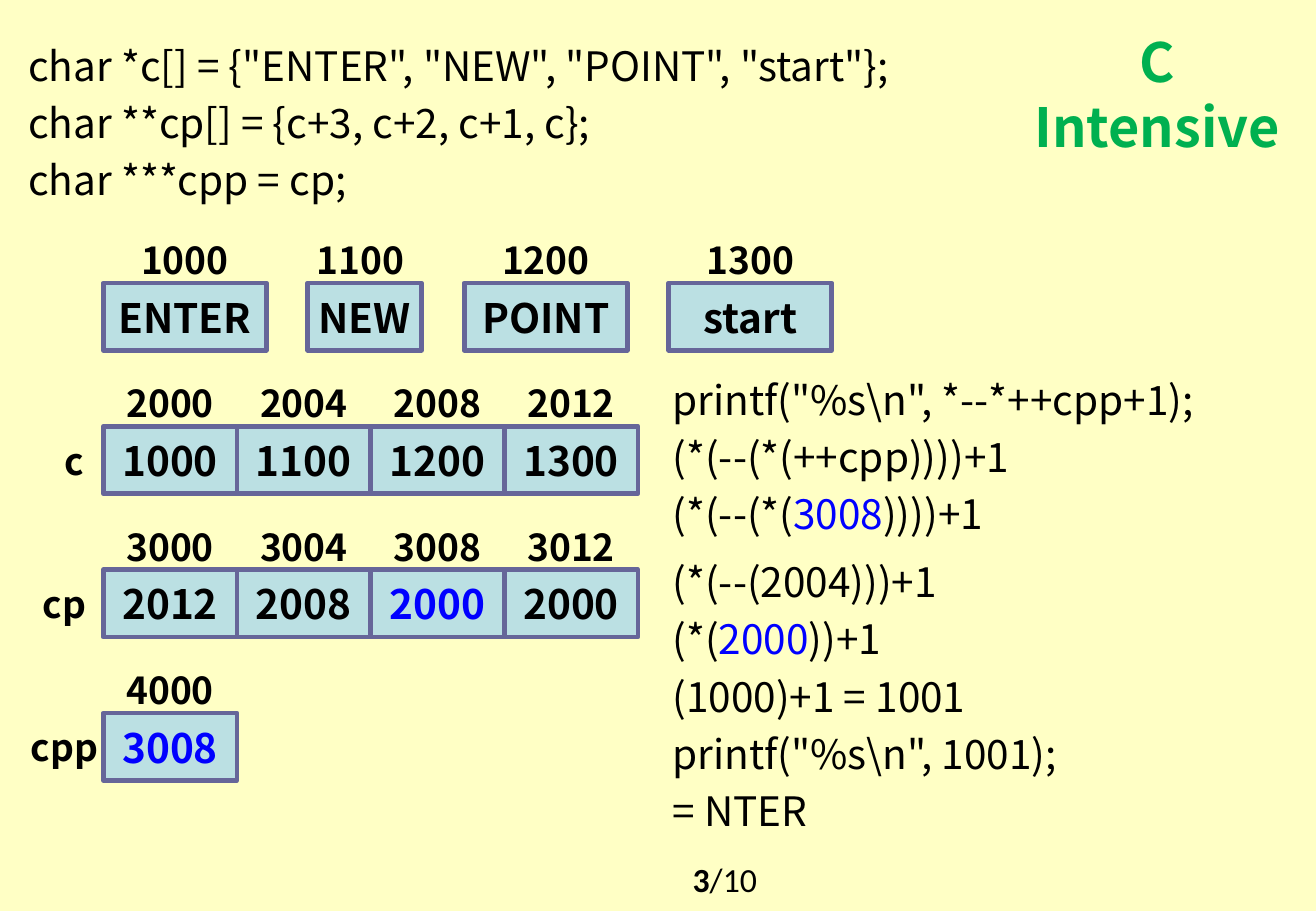
from dataclasses import dataclass

from pptx import Presentation
from pptx import util as u
from pptx.dml.color import RGBColor
from pptx.enum import shapes, text

FONT = "Noto Sans CJK KR"
BLACK, BLUE, GREEN = "000000", "0000FF", "00B050"
COL, ROW = 1.1, 1.18  # grid step in inches
LEFT, TOP = 0.85, 2.33  # corner of the first memory cell
CELL_H, TAG_H = 0.47, 0.33  # in rows
NAME_W = 0.8  # in columns


@dataclass
class Cell:
    addr: str
    value: str
    col: float
    row: float
    width: float = 1
    shift: float = 0  # address offset, in columns


@dataclass
class Code:
    lines: str
    col: float
    row: float
    width: float
    height: float


def rgb(code: str) -> RGBColor:
    return RGBColor.from_string(code)


def area(col: float, row: float, width: float, height: float) -> list[int]:
    """Turn grid columns and rows into slide lengths."""
    inches = LEFT + col * COL, TOP + row * ROW, width * COL, height * ROW
    return [u.Inches(n) for n in inches]


def write(shape, words: str, *, size: int = 24, font: str = FONT,
          color: str = BLACK, bold: bool = False, mark: str = BLUE,
          strong: bool = False, align=text.PP_ALIGN.CENTER,
          anchor=text.MSO_ANCHOR.MIDDLE, wrap: bool = False,
          gap: float = 0) -> None:
    """Fill a shape with lines; parts between bars take the mark format."""
    frame = shape.text_frame
    frame.word_wrap, frame.vertical_anchor = wrap, anchor
    for i, line in enumerate(words.split("\n")):
        para = frame.add_paragraph() if i else frame.paragraphs[0]
        para.alignment = align
        para.line_spacing = u.Pt(size * 1.21)
        para.space_before = u.Pt(gap if i else 0)
        for j, part in enumerate(line.split("|")):
            if part:
                run = para.add_run()
                run.text = part
                run.font.name, run.font.size = font, u.Pt(size)
                run.font.bold = bold or (strong and j % 2 == 1)
                run.font.color.rgb = rgb(mark if j % 2 else color)


def label(slide, words: str, place: list[int], **form) -> None:
    write(slide.shapes.add_textbox(*place), words, **form)


def draw(slide, cell: Cell) -> None:
    """Draw a memory cell with its address above."""
    label(slide, cell.addr, area(cell.col + cell.shift, cell.row - TAG_H,
                                 cell.width, TAG_H), size=22, bold=True)
    box = slide.shapes.add_shape(shapes.MSO_SHAPE.RECTANGLE,
                                 *area(cell.col, cell.row, cell.width, CELL_H))
    box.shadow.inherit = False
    box.fill.solid()
    box.fill.fore_color.rgb = rgb("BBE0E3")
    box.line.color.rgb = rgb("666699")
    box.line.width = u.Pt(2.75)
    write(box, cell.value, bold=True)


WORDS = [
    Cell("1000", "ENTER", 0, 0, 1.22),
    Cell("1100", "NEW", 1.53, 0, 0.85, -0.03),
    Cell("1200", "POINT", 2.7, 0, 1.22),
    Cell("1300", "start", 4.23, 0, 1.22),
]
# Name, name column, first address, values
ARRAYS = [
    ("c", -0.62, 2000, ["1000", "1100", "1200", "1300"]),
    ("cp", -0.69, 3000, ["2012", "2008", "|2000|", "2000"]),
    ("cpp", -0.69, 4000, ["|3008|"]),
]
CODES = [
    Code('char *c[] = {"ENTER", "NEW", "POINT", "start"};\n'
         "char **cp[] = {c+3, c+2, c+1, c};\n"
         "char ***cpp = cp;", -0.65, -1.73, 7.09, 1.25),
    Code('printf("%s\\n", *--*++cpp+1);\n'
         "(*(--(*(++cpp))))+1\n"
         "(*(--(*(|3008|))))+1", 4.17, 0.6, 4.9, 1.25),
    Code("(*(--(2004)))+1\n(*(|2000|))+1", 4.17, 1.87, 4.9, 0.84),
    Code('(1000)+1 = 1001\nprintf("%s\\n", 1001);\n= NTER',
         4.17, 2.67, 4.9, 1.25),
]


def main() -> None:
    deck = Presentation()
    deck.slide_width, deck.slide_height = u.Inches(10.83), u.Inches(7.5)
    slide = deck.slides.add_slide(deck.slide_layouts[6])
    slide.background.fill.solid()
    slide.background.fill.fore_color.rgb = rgb("FFFFC5")

    # Title and page number
    label(slide, "C\nIntensive", area(6.82, -1.82, 2.13, 0.9), size=32,
          bold=True, color=GREEN, anchor=text.MSO_ANCHOR.TOP)
    label(slide, "|3|/10", area(3.44, 3.9, 2.42, 0.44), size=20,
          font="Calibri", mark=BLACK, strong=True,
          anchor=text.MSO_ANCHOR.BOTTOM)

    # Strings in memory
    for cell in WORDS:
        draw(slide, cell)

    # Pointer arrays, four bytes to a cell
    for row, (name, col, base, values) in enumerate(ARRAYS, 1):
        label(slide, name, area(col, row + 0.07, NAME_W, TAG_H),
              size=22, bold=True)
        for i, value in enumerate(values):
            draw(slide, Cell(str(base + 4 * i), value, i, row))

    # Code and its evaluation
    for code in CODES:
        label(slide, code.lines,
              area(code.col, code.row, code.width, code.height),
              align=text.PP_ALIGN.LEFT, anchor=text.MSO_ANCHOR.TOP,
              wrap=True, gap=4.8)

    deck.save("out.pptx")


if __name__ == "__main__":
    main()
